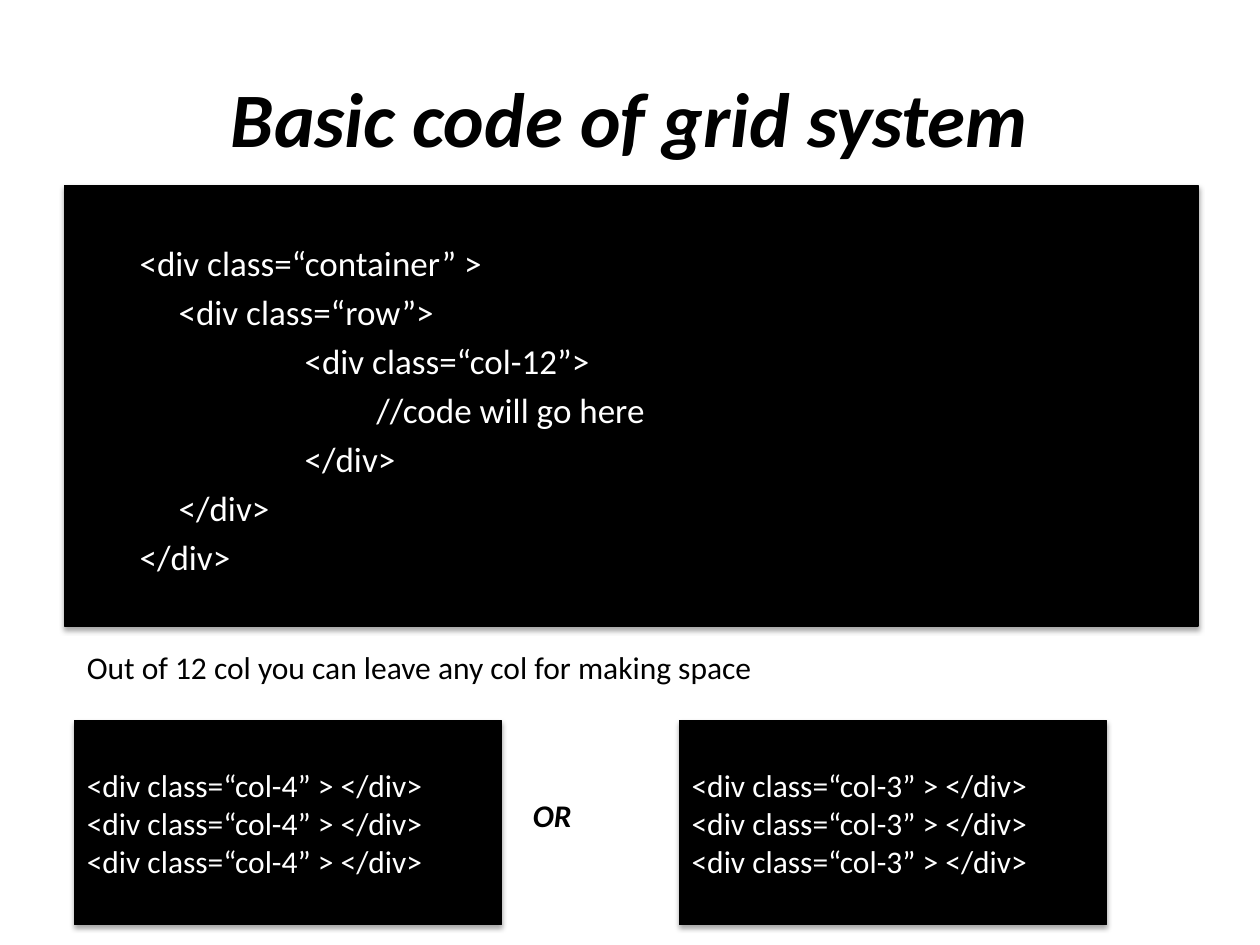
from lxml.etree import SubElement
from pptx import Presentation
from pptx.dml.color import RGBColor
from pptx.enum.shapes import MSO_SHAPE as Shape
from pptx.enum.text import MSO_ANCHOR as Anchor, PP_ALIGN as Align
from pptx.oxml.ns import qn
from pptx.util import Inches, Pt

BLACK = "000000"
WHITE = "FFFFFF"
FONT = "Calibri"


def color(value):
    return RGBColor.from_string(value)


def add_shadow(shape):
    shape.shadow.inherit = False
    effects = shape._element.spPr.find(qn("a:effectLst"))
    shadow = SubElement(effects, qn("a:outerShdw"), blurRad=str(Pt(3.1)),
                        dist=str(Pt(1.8)), dir="5400000", rotWithShape="0")
    tint = SubElement(shadow, qn("a:srgbClr"), val=BLACK)
    SubElement(tint, qn("a:alpha"), val="35000")


def write_lines(frame, lines, size, ink, bold=None, align=Align.LEFT, gap=0):
    frame.word_wrap = True
    for number, (indent, text) in enumerate(lines):
        para = frame.add_paragraph() if number else frame.paragraphs[0]
        para.alignment = align
        para.space_before = Pt(gap if number else 0)
        if indent:
            para._p.get_or_add_pPr().set("marL", str(Inches(indent)))
        span = para.add_run()
        span.text = text
        span.font.name = FONT
        span.font.size = Pt(size)
        span.font.bold = span.font.italic = bold
        span.font.color.rgb = color(ink)


def add_label(page, place, text, size, bold=None, align=Align.LEFT, anchor=Anchor.TOP):
    box = page.shapes.add_textbox(*map(Inches, place))
    box.text_frame.vertical_anchor = anchor
    write_lines(box.text_frame, [(0, text)], size, BLACK, bold, align)


def add_code_panel(page, place, lines, size, top_inset, gap=0):
    panel = page.shapes.add_shape(Shape.RECTANGLE, *map(Inches, place))
    panel.fill.solid()
    panel.fill.fore_color.rgb = color(BLACK)
    panel.line.color.rgb = color(BLACK)
    panel.line.width = Pt(0.75)
    add_shadow(panel)
    frame = panel.text_frame
    frame.vertical_anchor = Anchor.TOP
    frame.margin_top = Inches(top_inset)
    write_lines(frame, lines, size, WHITE, gap=gap)


def main():
    deck = Presentation()
    deck.slide_width, deck.slide_height = Inches(10), Inches(7.5)
    page = deck.slides.add_slide(deck.slide_layouts[6])

    add_label(page, (0.5, 0.3, 9, 1.25), "Basic code of grid system", 44,
              bold=True, align=Align.CENTER, anchor=Anchor.MIDDLE)

    outer, row, column, content = 0.5, 0.81, 1.81, 2.38
    grid_code = [
        (outer, "<div class=“container” >"),
        (row, "<div class=“row”>"),
        (column, "<div class=“col-12”>"),
        (content, "//code will go here"),
        (column, "</div>"),
        (row, "</div>"),
        (outer, "</div>"),
    ]
    add_code_panel(page, (0.51, 1.47, 9, 3.5), grid_code, 20, 0.45, gap=4)

    add_label(page, (0.59, 5.09, 5.98, 0.4),
              "Out of 12 col you can leave any col for making space", 18)
    for left, span in ((0.59, 4), (5.39, 3)):
        lines = [(0, f"<div class=“col-{span}” > </div>")] * 3
        add_code_panel(page, (left, 5.72, 3.39, 1.62), lines, 18, 0.36)
    add_label(page, (4.13, 6.27, 0.79, 0.4), "OR", 18, bold=True)

    deck.save("out.pptx")


main()
